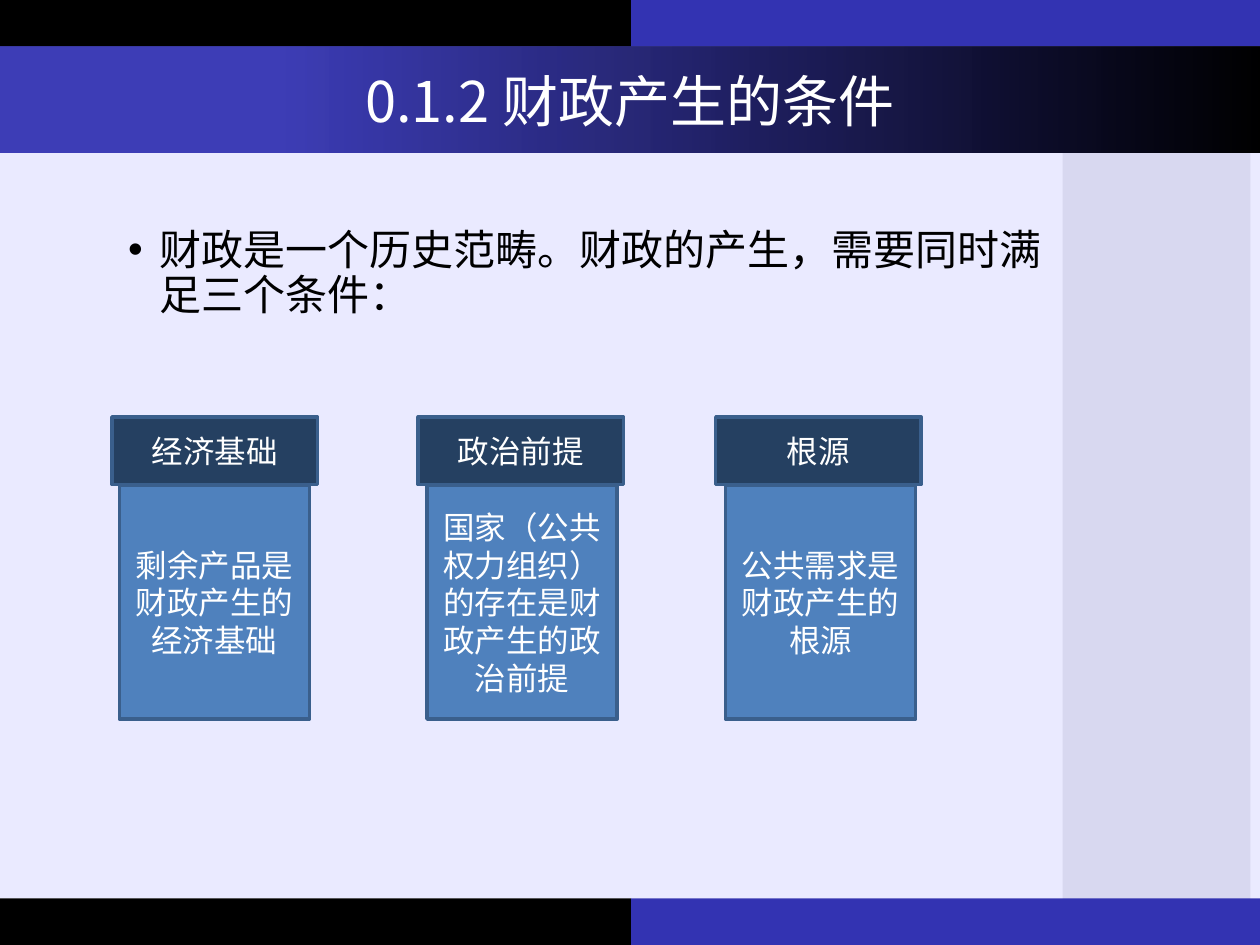
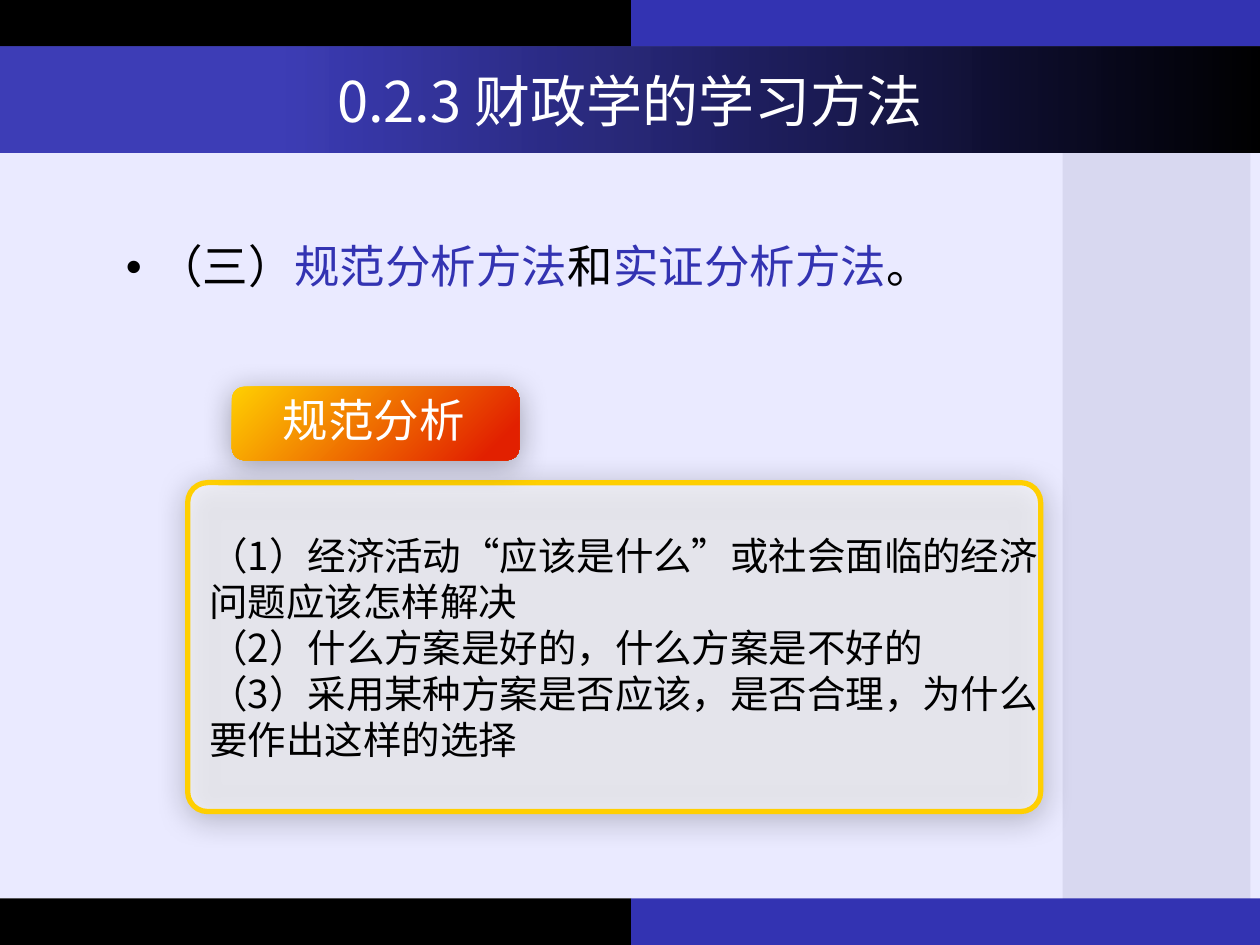
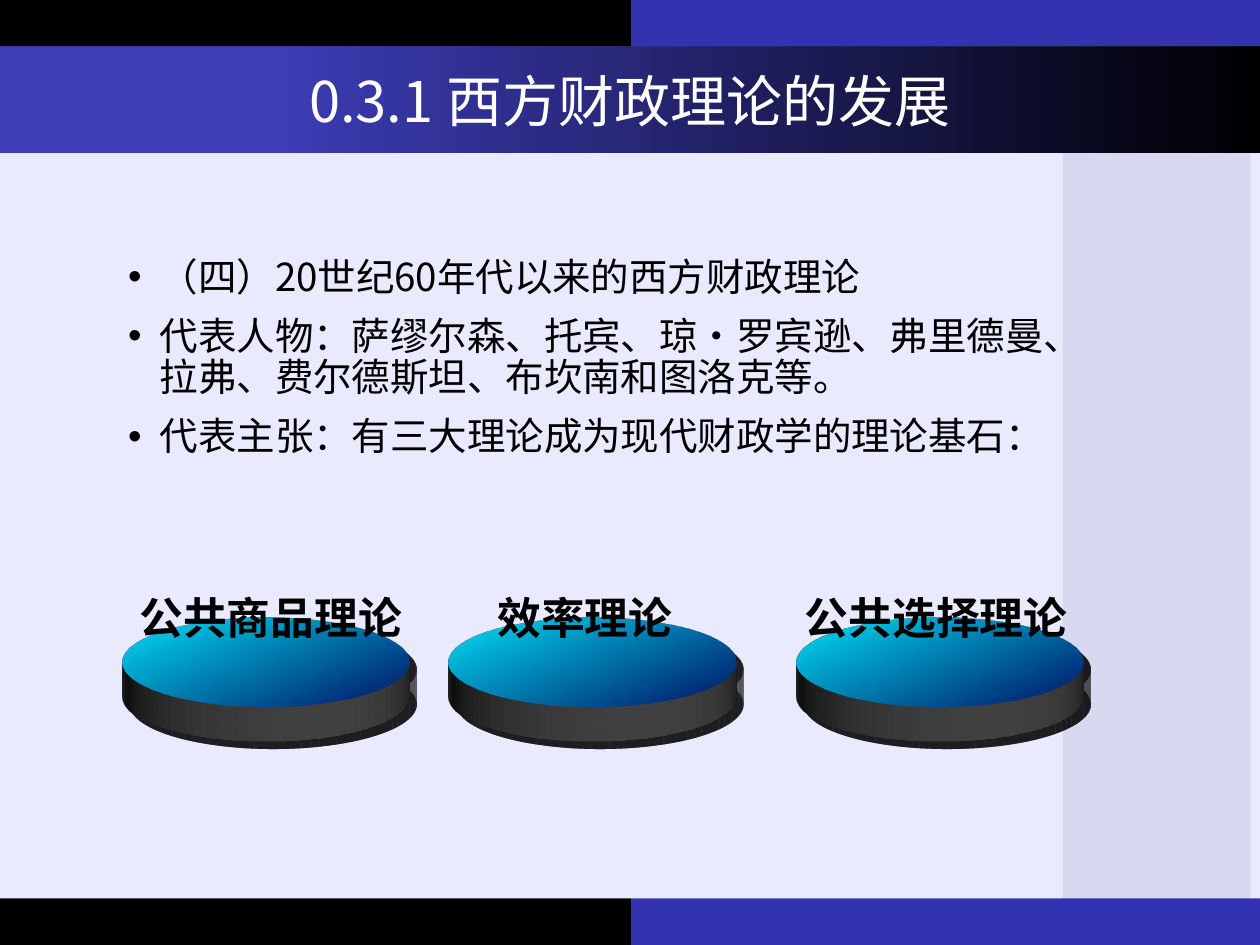
"""Build three lecture slides on the conditions, methods and theories of public finance."""
from lxml.etree import SubElement
from pptx import Presentation
from pptx.dml.color import RGBColor
from pptx.enum.shapes import MSO_SHAPE
from pptx.enum.text import MSO_ANCHOR, PP_ALIGN
from pptx.oxml.ns import qn
from pptx.util import Pt

BLACK = RGBColor(0x00, 0x00, 0x00)
WHITE = RGBColor(0xFF, 0xFF, 0xFF)
BLUE = RGBColor(0x33, 0x33, 0xB2)
PALE = RGBColor(0xEA, 0xEA, 0xFF)
PANEL = RGBColor(0xD8, 0xD8, 0xF0)
NAVY = RGBColor(0x25, 0x40, 0x61)
STEEL = RGBColor(0x4F, 0x81, 0xBD)
STEEL_EDGE = RGBColor(0x3A, 0x5F, 0x8C)
YELLOW = RGBColor(0xFF, 0xCF, 0x01)
RED = RGBColor(0xE2, 0x20, 0x00)
CYAN = RGBColor(0x00, 0xDF, 0xF6)
DEEP_BLUE = RGBColor(0x00, 0x27, 0x74)
GRAY = RGBColor(0x80, 0x80, 0x80)

SC_FONT = "Noto Sans CJK SC"
JP_FONT = "Noto Sans CJK JP"

WIDTH, HEIGHT = 720, 540
BAND, SPLIT = 26.64, 360.72
BACKDROP = [
    (0, BAND, WIDTH, HEIGHT - 2 * BAND, PALE),
    (0, 0, SPLIT, BAND, BLACK),
    (SPLIT, 0, WIDTH - SPLIT, BAND, BLUE),
    (607.2, 33.8, 107.3, 485.3, PANEL),
    (0, HEIGHT - BAND, SPLIT, BAND, BLACK),
    (SPLIT, HEIGHT - BAND, WIDTH - SPLIT, BAND, BLUE),
]

CONDITIONS_TITLE = "0.1.2 财政产生的条件"
CONDITIONS_INTRO = ["财政是一个历史范畴。财政的产生，需要同时满足三个条件："]
CONDITIONS = [
    (64, "经济基础", 68.2, "剩余产品是财政产生的经济基础"),
    (239, "政治前提", 244, "国家（公共权力组织）的存在是财政产生的政治前提"),
    (409, "根源", 414.6, "公共需求是财政产生的根源"),
]

METHODS_TITLE = "0.2.3 财政学的学习方法"
METHODS_INTRO = [("（三）", "规范分析方法", "和", "实证分析方法", "。")]
METHOD_NAME = "规范分析"
METHOD_QUESTIONS = [
    "（1）经济活动“应该是什么”或社会面临的经济问题应该怎样解决",
    "（2）什么方案是好的，什么方案是不好的",
    "（3）采用某种方案是否应该，是否合理，为什么要作出这样的选择",
]

THEORIES_TITLE = "0.3.1 西方财政理论的发展"
THEORIES_INTRO = [
    "（四）20世纪60年代以来的西方财政理论",
    "代表人物：萨缪尔森、托宾、琼·罗宾逊、弗里德曼、拉弗、费尔德斯坦、布坎南和图洛克等。",
    "代表主张：有三大理论成为现代财政学的理论基石：",
]
THEORIES = [
    (69.8, "公共商品理论", 72.7, 175.7),
    (256.5, "效率理论", 277.2, 136),
    (455, "公共选择理论", 452.9, 181.4),
]
DISC_TILT, DISC_DEPTH = 295.5, 22


def add_block(slide, box, fill, kind=MSO_SHAPE.RECTANGLE, line=None, weight=2):
    block = slide.shapes.add_shape(kind, *[Pt(length) for length in box])
    block.shadow.inherit = False
    block.fill.solid()
    block.fill.fore_color.rgb = fill
    if line is None:
        block.line.fill.background()
    else:
        block.line.color.rgb = line
        block.line.width = Pt(weight)
    return block


def shade(shape, first, last, start=0, end=100, angle=0):
    shape.fill.gradient()
    shape.fill.gradient_angle = angle
    stops = zip(shape.fill.gradient_stops, (first, last), (start, end))
    for stop, color, position in stops:
        stop.color.rgb = color
        stop.position = position / 100


def set_alpha(color_element, percent):
    SubElement(color_element, qn("a:alpha"), val=str(percent * 1000))


def cast_shadow(shape, alpha=33, blur=17.8, distance=3, angle=87):
    effects = shape._element.spPr.find(qn("a:effectLst"))
    shadow = SubElement(effects, qn("a:outerShdw"), blurRad=str(Pt(blur)),
                        dist=str(Pt(distance)), dir=str(angle * 60000), rotWithShape="0")
    set_alpha(SubElement(shadow, qn("a:srgbClr"), val=str(BLACK)), alpha)


def extrude(shape, tilt, depth, side_color):
    properties = shape._element.spPr
    scene = SubElement(properties, qn("a:scene3d"))
    camera = SubElement(scene, qn("a:camera"), prst="orthographicFront")
    SubElement(camera, qn("a:rot"), lat=str(int(tilt * 60000)), lon="0", rev="0")
    SubElement(scene, qn("a:lightRig"), rig="threePt", dir="t")
    solid = SubElement(properties, qn("a:sp3d"), extrusionH=str(Pt(depth)))
    side = SubElement(solid, qn("a:extrusionClr"))
    SubElement(side, qn("a:srgbClr"), val=str(side_color))


def write(shape, paragraphs, size, color, font=SC_FONT, bold=False, align=None):
    frame = shape.text_frame
    frame.word_wrap = True
    for index, segments in enumerate(paragraphs):
        paragraph = frame.paragraphs[0] if index == 0 else frame.add_paragraph()
        paragraph.alignment = align
        if isinstance(segments, str):
            segments = (segments,)
        for order, segment in enumerate(segments):
            run = paragraph.add_run()
            run.text = segment
            run.font.size = Pt(size)
            run.font.bold = bold
            run.font.name = font
            run.font.color.rgb = BLUE if order % 2 else color
            east_asian = SC_FONT if font == "Arial" else font
            SubElement(run._r.rPr, qn("a:ea"), typeface=east_asian)


def write_centred(shape, text, size, font=SC_FONT):
    shape.text_frame.vertical_anchor = MSO_ANCHOR.MIDDLE
    write(shape, [text], size, WHITE, font, align=PP_ALIGN.CENTER)


def add_text(slide, box, paragraphs, size, color=BLACK, **style):
    text = slide.shapes.add_textbox(*[Pt(length) for length in box])
    write(text, paragraphs, size, color, **style)
    return text


def add_bullets(slide, box, paragraphs, size):
    bullets = add_text(slide, box, paragraphs, size)
    for index, paragraph in enumerate(bullets.text_frame.paragraphs):
        paragraph.line_spacing = 0.9
        if index:
            paragraph.space_before = Pt(10)
        properties = paragraph._p.get_or_add_pPr()
        properties.set("marL", str(Pt(18)))
        properties.set("indent", str(-Pt(18)))
        SubElement(properties, qn("a:buFont"), typeface="Arial")
        SubElement(properties, qn("a:buChar"), char="•")


def add_slide(deck, title):
    slide = deck.slides.add_slide(deck.slide_layouts[6])
    for *box, color in BACKDROP:
        add_block(slide, box, color)
    title_band = add_block(slide, (0, BAND, WIDTH, 60.6), BLUE)
    shade(title_band, BLUE, BLACK, start=22)
    set_alpha(next(title_band._element.spPr.iter(qn("a:srgbClr"))), 94)
    write_centred(title_band, title, 32)
    return slide


def build_conditions(deck):
    slide = add_slide(deck, CONDITIONS_TITLE)
    add_bullets(slide, (66.2, 127.4, 541.4, 342.7), CONDITIONS_INTRO, 24)
    for head_left, heading, _, _ in CONDITIONS:
        head = add_block(slide, (head_left, 238.3, 117.4, 38.6), NAVY, line=STEEL_EDGE)
        write_centred(head, heading, 18, JP_FONT)
    for _, _, body_left, reason in CONDITIONS:
        body = add_block(slide, (body_left, 277.5, 108.7, 133.4), STEEL, line=STEEL_EDGE)
        write_centred(body, reason, 18, JP_FONT)


def build_methods(deck):
    slide = add_slide(deck, METHODS_TITLE)
    add_bullets(slide, (64.8, 136.2, 541.4, 302), METHODS_INTRO, 26)
    card = add_block(slide, (107.3, 275.8, 487.4, 187.9), WHITE,
                     MSO_SHAPE.ROUNDED_RECTANGLE, YELLOW, 3)
    card.adjustments[0] = 0.06
    set_alpha(card._element.spPr.find(qn("a:solidFill"))[0], 60)
    cast_shadow(card)
    tag = add_block(slide, (132.5, 221, 164.2, 42), YELLOW, MSO_SHAPE.ROUNDED_RECTANGLE)
    shade(tag, YELLOW, RED, end=90, angle=315)
    cast_shadow(tag)
    add_text(slide, (112.6, 300.3, 493.2, 140.4), METHOD_QUESTIONS, 22)
    add_text(slide, (154.5, 220.7, 181.4, 38.9), [METHOD_NAME], 26, WHITE)


def build_theories(deck):
    slide = add_slide(deck, THEORIES_TITLE)
    add_bullets(slide, (66.2, 143.8, 560.2, 342.7), THEORIES_INTRO, 22)
    for disc_left, _, _, _ in THEORIES:
        disc = add_block(slide, (disc_left, 319, 164.2, 118.8), CYAN, MSO_SHAPE.OVAL, WHITE)
        shade(disc, CYAN, DEEP_BLUE, end=90, angle=315)
        cast_shadow(disc, alpha=40, blur=10, distance=6, angle=45)
        extrude(disc, DISC_TILT, DISC_DEPTH, GRAY)
    for _, theory, label_left, label_width in THEORIES:
        add_text(slide, (label_left, 334.3, label_width, 37.4), [theory], 25,
                 font="Arial", bold=True)


def main():
    deck = Presentation()
    deck.slide_width, deck.slide_height = Pt(WIDTH), Pt(HEIGHT)
    build_conditions(deck)
    build_methods(deck)
    build_theories(deck)
    deck.save("out.pptx")


if __name__ == "__main__":
    main()
